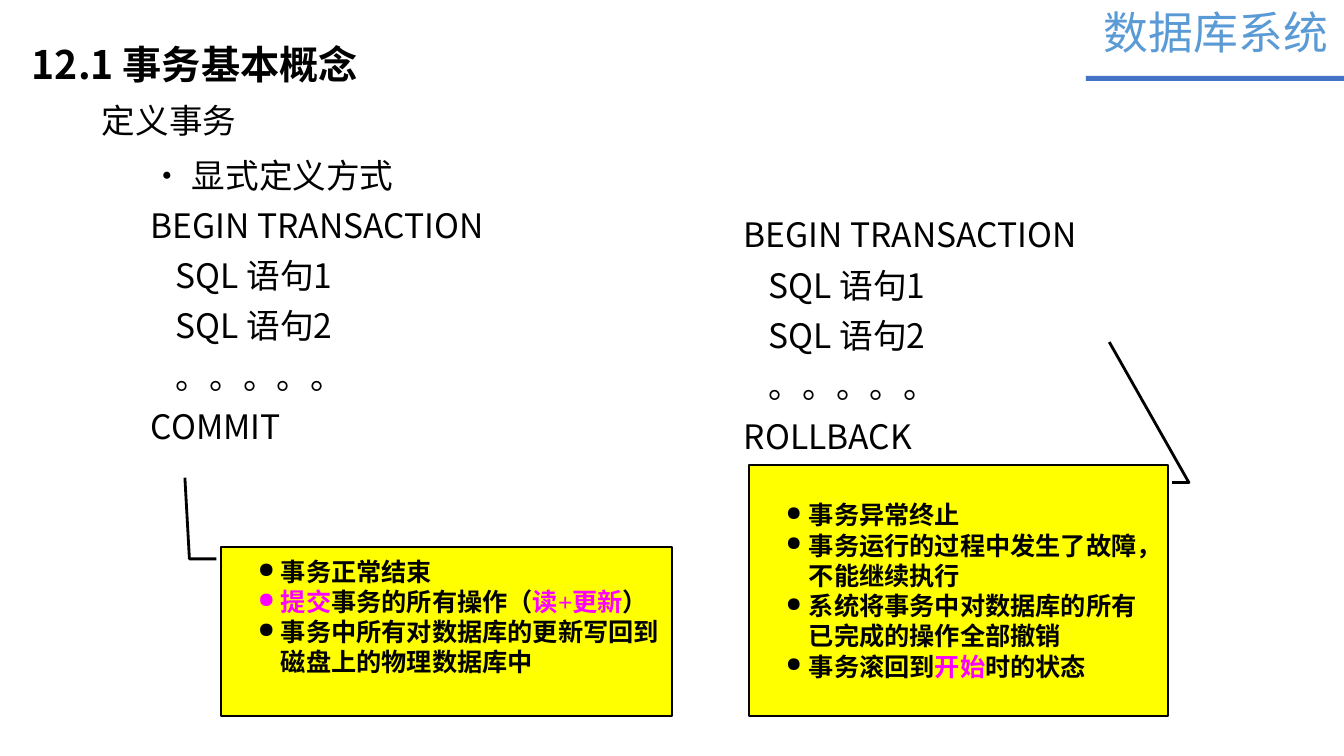
"""Build the slide on defining transactions explicitly."""
from lxml import etree
from pptx import Presentation
from pptx.dml.color import RGBColor
from pptx.enum.shapes import MSO_SHAPE
from pptx.enum.text import MSO_ANCHOR
from pptx.oxml.ns import qn
from pptx.util import Pt

BAR, CALLOUT = MSO_SHAPE.RECTANGLE, MSO_SHAPE.LINE_CALLOUT_2
TOP, MIDDLE = MSO_ANCHOR.TOP, MSO_ANCHOR.MIDDLE
BLACK = RGBColor(0x00, 0x00, 0x00)
BLUE = RGBColor(0x44, 0x72, 0xC4)
SKY = RGBColor(0x5B, 0x9B, 0xD5)
YELLOW = RGBColor(0xFF, 0xFF, 0x00)
MAGENTA = RGBColor(0xFF, 0x00, 0xFF)
SANS, SERIF = "Noto Sans CJK SC", "Times New Roman"
PX = 914400 / 100.8
INSET = 25

BAR_BOX = (1086, 76, 258, 5)
HEADINGS = [
    ("数据库系统", (1094, 0, 247, 65), 32, SKY, False, 1, False),
    ("12.1 事务基本概念", (22, 12, 451, 74), 28, BLACK, True, 1.5, True),
    ("定义事务", (92, 95, 156, 50), 24, BLACK, False, 1, False),
]
STATEMENTS = ["SQL 语句1", "SQL 语句2", "。。。。。"]
BEGIN = "BEGIN TRANSACTION"
CODE = [
    ((141, 154, 451, 356), ["• 显式定义方式", BEGIN, *STATEMENTS, "COMMIT"]),
    ((734, 214, 451, 275), [BEGIN, *STATEMENTS, "ROLLBACK"]),
]
NOTES = [
    ((221, 547, 451, 169), (0.07, -0.01, 0.07, -0.07, -0.41, -0.08), 85, 35, [
        [("事务正常结束", BLACK)],
        [("提交", MAGENTA), ("事务的所有操作（", BLACK), ("读+更新", MAGENTA), ("）", BLACK)],
        [("事务中所有对数据库的更新写回到磁盘上的物理数据库中", BLACK)],
    ]),
    ((749, 465, 419, 251), (0.07, 1.01, 0.07, 1.05, -0.49, 0.86), 80, 5, [
        [("事务异常终止", BLACK)],
        [("事务运行的过程中发生了故障，不能继续执行", BLACK)],
        [("系统将事务中对数据库的所有已完成的操作全部撤销", BLACK)],
        [("事务滚回到", BLACK), ("开始", MAGENTA), ("时的状态", BLACK)],
    ]),
]


def px(n):
    return round(n * PX)


def add_run(p, text, size, color, bold=False, latin=SANS):
    r = p.add_run()
    r.text = text
    r.font.size, r.font.bold, r.font.name = Pt(size), bold, latin
    r.font.color.rgb = color
    etree.SubElement(r.font._element, qn("a:ea")).set("typeface", SANS)


def set_indent(p, left, first):
    pPr = p._p.get_or_add_pPr()
    pPr.set("marL", str(px(left)))
    pPr.set("indent", str(px(first)))
    return pPr


def set_bullet(p, percent):
    pPr = set_indent(p, 50, -23)
    etree.SubElement(pPr, qn("a:buSzPct")).set("val", str(percent * 1000))
    etree.SubElement(pPr, qn("a:buChar")).set("char", "●")


def paragraphs(tf, items):
    for i, item in enumerate(items):
        yield (tf.add_paragraph() if i else tf.paragraphs[0]), item


def add_text_frame(s, box, wrap=True):
    tf = s.shapes.add_textbox(*map(px, box)).text_frame
    tf.word_wrap, tf.vertical_anchor = wrap, TOP
    return tf


def add_shape(s, kind, box, fill):
    sp = s.shapes.add_shape(kind, *map(px, box))
    sp.shadow.inherit = False
    sp.fill.solid()
    sp.fill.fore_color.rgb = fill
    return sp


def add_code(s, box, lines):
    tf = add_text_frame(s, box)
    for p, line in paragraphs(tf, lines):
        p.line_spacing, p.space_before = 0.9, Pt(10)
        set_indent(p, INSET, 0 if line in STATEMENTS else -INSET)
        add_run(p, line, 24, BLACK)


def add_note(s, box, pointer, bullet_size, bottom, points):
    sp = add_shape(s, CALLOUT, box, YELLOW)
    sp.line.color.rgb, sp.line.width = BLACK, Pt(2)
    for i, value in enumerate(pointer):
        sp.adjustments[i] = value
    tf = sp.text_frame
    tf.word_wrap, tf.vertical_anchor = True, MIDDLE
    tf.margin_bottom = px(bottom)
    for p, runs in paragraphs(tf, points):
        p.level = 1
        p.alignment = 1
        set_bullet(p, bullet_size)
        for text, color in runs:
            add_run(p, text, 18, color, True, SERIF)


def main():
    prs = Presentation()
    prs.slide_width, prs.slide_height = px(1344), px(756)
    s = prs.slides.add_slide(prs.slide_layouts[6])
    add_shape(s, BAR, BAR_BOX, BLUE).line.fill.background()
    for text, box, size, color, bold, spacing, wrap in HEADINGS:
        p = add_text_frame(s, box, wrap).paragraphs[0]
        p.line_spacing = float(spacing)
        add_run(p, text, size, color, bold)
    for box, lines in CODE:
        add_code(s, box, lines)
    for note in NOTES:
        add_note(s, *note)
    prs.save("out.pptx")


if __name__ == "__main__":
    main()
